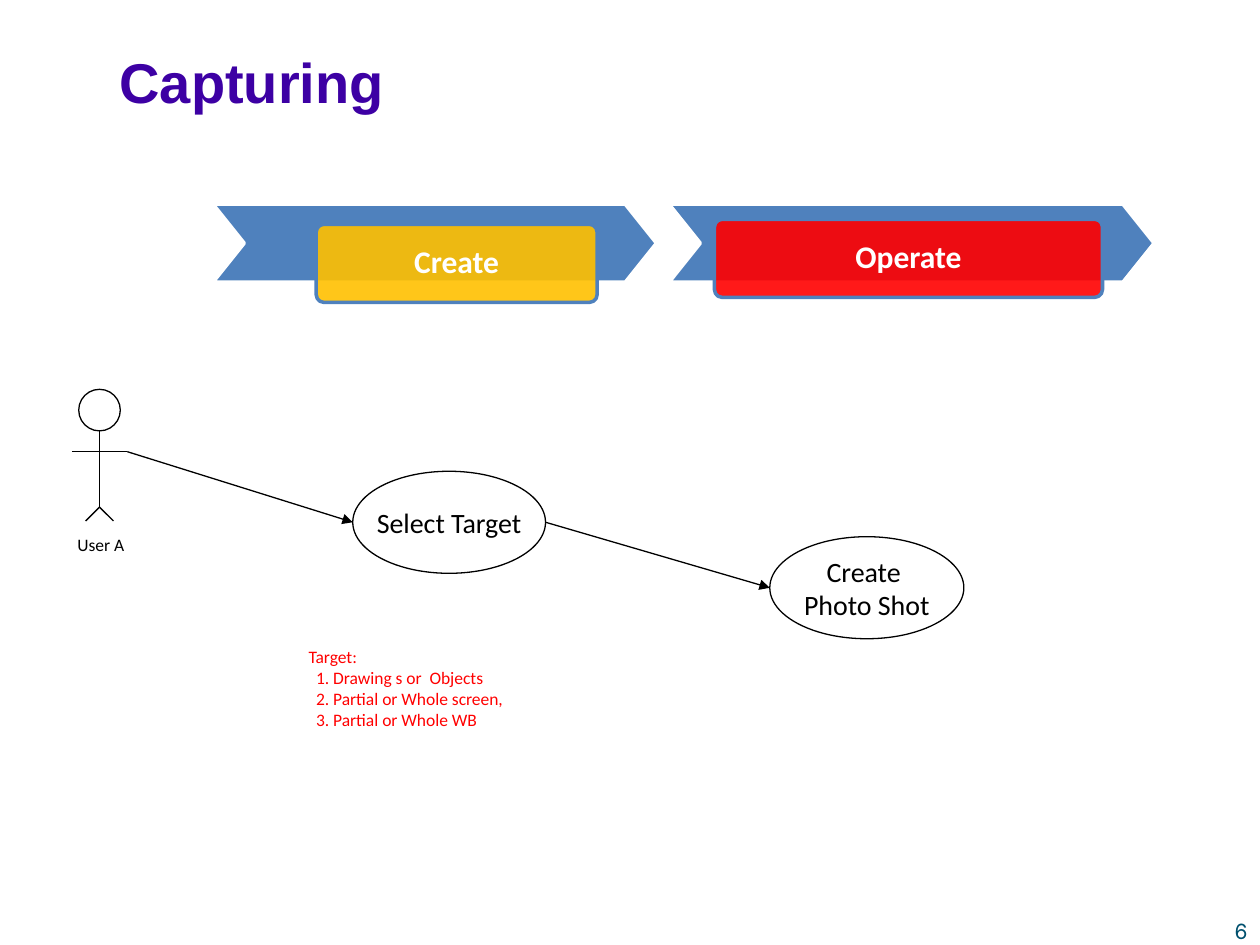
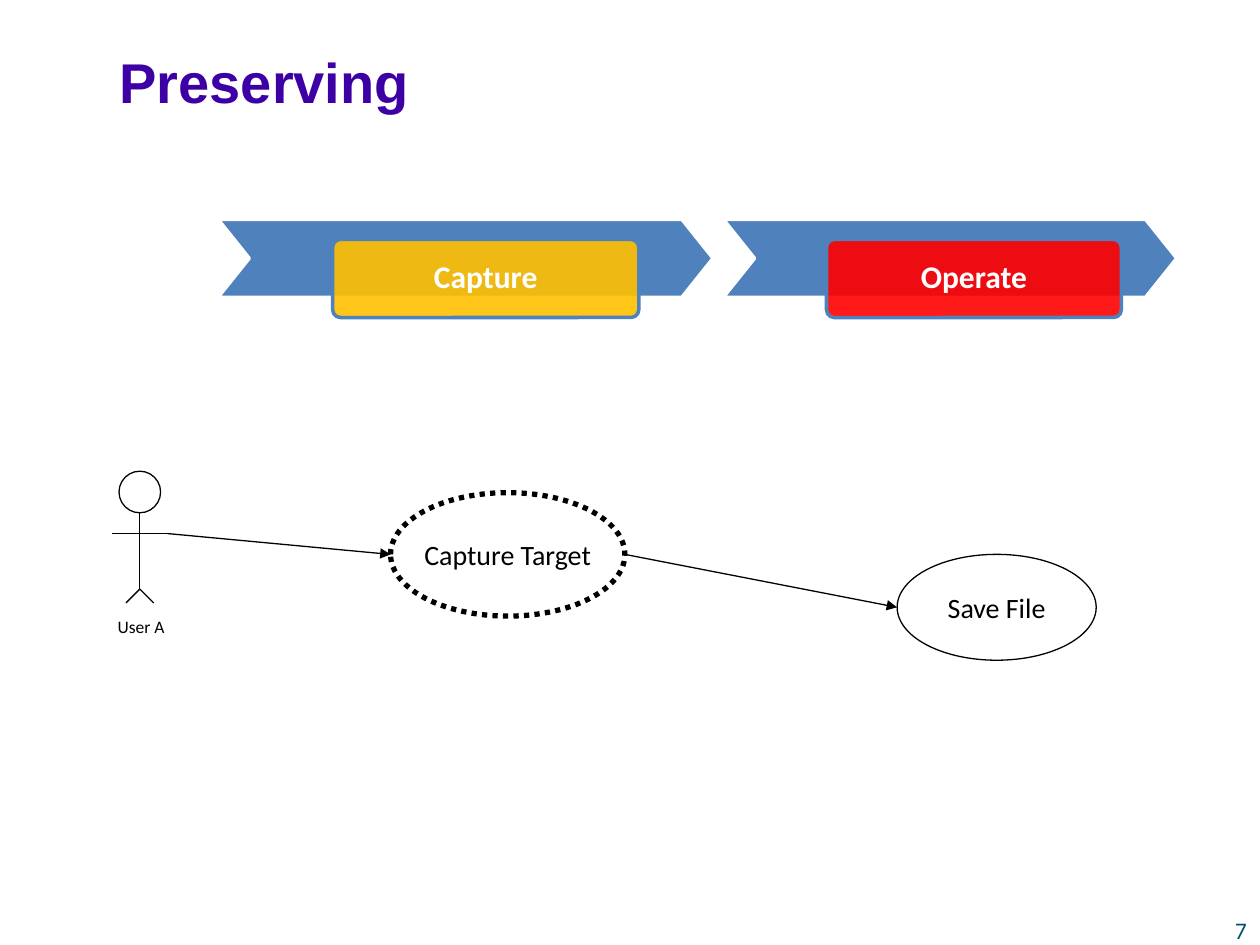
"""Build two use-case slides, each with a phase band, an actor and linked steps."""
from dataclasses import dataclass
from typing import NamedTuple, Optional

from lxml.etree import SubElement
from pptx import Presentation
from pptx.dml.color import RGBColor
from pptx.enum.dml import MSO_LINE
from pptx.enum.shapes import MSO_CONNECTOR, MSO_SHAPE
from pptx.enum.text import MSO_ANCHOR, PP_ALIGN
from pptx.oxml.ns import qn
from pptx.util import Inches, Length, Pt

COLOURS = {
    "title": "3D00A4",
    "number": "00506E",
    "ink": "000000",
    "white": "FFFFFF",
    "band": "4F81BD",
    "first": "FFC000",
    "second": "FF0000",
    "note": "FF0000",
}
COLUMNS, ROWS = 100, 75
SLIDE_WIDTH, SLIDE_HEIGHT = Inches(10), Inches(7.5)
PHASE_ROWS = 6.2
HEAD = 3.3
THIN = 0.75


class Point(NamedTuple):
    column: float
    row: float


class Box(NamedTuple):
    column: float
    row: float
    columns: float
    rows: float

    @property
    def west(self) -> Point:
        return Point(self.column, self.row + self.rows / 2)

    @property
    def east(self) -> Point:
        return Point(self.column + self.columns, self.row + self.rows / 2)


class Style(NamedTuple):
    size: float
    font: str
    colour: str
    bold: bool = False
    align: PP_ALIGN = PP_ALIGN.CENTER


TITLE = Style(32, "Arial", "title", True, PP_ALIGN.LEFT)
NUMBER = Style(12, "Inter", "number")
ACTOR = Style(10, "Calibri", "ink")
STEP = Style(16, "Calibri", "ink")
PHASE = Style(18, "Calibri", "white", True)
NOTE = Style(10, "Calibri", "note", align=PP_ALIGN.LEFT)


@dataclass
class Phase:
    name: str
    arrow_column: float
    arrow_columns: float
    label: Box
    colour: str


@dataclass
class Step:
    lines: list[str]
    box: Box
    dotted: bool = False


@dataclass
class Note:
    heading: str
    items: list[str]
    box: Box


@dataclass
class Scene:
    number: int
    title: str
    phase_row: float
    phases: list[Phase]
    actor: Point
    steps: list[Step]
    note: Optional[Note] = None


SCENES = [
    Scene(
        6, "Capturing", 16.2,
        [
            Phase("Create", 16.9, 35.2, Box(25.1, 17.8, 22.3, PHASE_ROWS), "first"),
            Phase("Operate", 53.1, 38.5, Box(56.7, 17.4, 30.8, PHASE_ROWS), "second"),
        ],
        Point(7.9, 30.9),
        [
            Step(["Select Target"], Box(28, 37.4, 15.3, 8.1)),
            Step(["Create ", "Photo Shot"], Box(61.1, 42.6, 15.4, 8.1)),
        ],
        Note(
            "Target:",
            ["Drawing s or  Objects", "Partial or Whole screen,", "Partial or Whole WB"],
            Box(23.5, 50.8, 19.8, 9.4),
        ),
    ),
    Scene(
        7, "Preserving", 17.4,
        [
            Phase("Capture", 17.3, 39.3, Box(26.4, 19, 24.3, PHASE_ROWS), "first"),
            Phase("Operate", 57.4, 36, Box(65.6, 19, 23.4, PHASE_ROWS), "second"),
        ],
        Point(11.1, 37.4),
        [
            Step(["Capture Target"], Box(31, 39.1, 18.6, 9.8), dotted=True),
            Step(["Save File"], Box(71.2, 44, 15.8, 8.4)),
        ],
    ),
]


def across(columns: float) -> Length:
    """Turn grid columns into a length."""
    return Length(round(SLIDE_WIDTH * columns / COLUMNS))


def down(rows: float) -> Length:
    """Turn grid rows into a length."""
    return Length(round(SLIDE_HEIGHT * rows / ROWS))


def place(box: Box) -> tuple[Length, Length, Length, Length]:
    """Give left, top, width and height of a grid box."""
    return across(box.column), down(box.row), across(box.columns), down(box.rows)


def rgb(colour: str) -> RGBColor:
    """Look up a named colour."""
    return RGBColor.from_string(COLOURS[colour])


def write(frame, lines: list[str], style: Style, wrap: bool = True, middle: bool = False) -> None:
    """Fill a text frame with one paragraph per line."""
    frame.word_wrap = wrap
    frame.vertical_anchor = MSO_ANCHOR.MIDDLE if middle else MSO_ANCHOR.TOP
    for position, line in enumerate(lines):
        paragraph = frame.add_paragraph() if position else frame.paragraphs[0]
        paragraph.alignment = style.align
        run = paragraph.add_run()
        run.text = line
        run.font.size = Pt(style.size)
        run.font.name = style.font
        run.font.bold = style.bold
        run.font.color.rgb = rgb(style.colour)


def add_text(slide, box: Box, lines: list[str], style: Style, middle: bool = False):
    """Add a text box and return its frame."""
    frame = slide.shapes.add_textbox(*place(box)).text_frame
    write(frame, lines, style, middle=middle)
    return frame


def add_outline(slide, kind: MSO_SHAPE, box: Box, line: str, weight: float, fill: str = ""):
    """Add a flat preset shape, hollow unless a fill is named."""
    shape = slide.shapes.add_shape(kind, *place(box))
    shape.shadow.inherit = False
    if fill:
        shape.fill.solid()
        shape.fill.fore_color.rgb = rgb(fill)
    else:
        shape.fill.background()
    shape.line.color.rgb = rgb(line)
    shape.line.width = Pt(weight)
    return shape


def add_line(slide, start: Point, end: Point, arrow: bool = False) -> None:
    """Draw a thin line, with an arrowhead at its end if asked."""
    connector = slide.shapes.add_connector(
        MSO_CONNECTOR.STRAIGHT,
        across(start.column), down(start.row), across(end.column), down(end.row),
    )
    connector.line.color.rgb = rgb("ink")
    connector.line.width = Pt(THIN)
    if arrow:
        SubElement(connector.line._get_or_add_ln(), qn("a:tailEnd"), type="triangle")
    SubElement(connector._element.spPr, qn("a:effectLst"))


def add_phase(slide, phase: Phase, row: float) -> None:
    """Draw a chevron and its translucent label."""
    arrow = Box(phase.arrow_column, row, phase.arrow_columns, PHASE_ROWS)
    chevron = add_outline(slide, MSO_SHAPE.CHEVRON, arrow, "white", 2, "band")
    chevron.adjustments[0] = 0.4
    label = add_outline(slide, MSO_SHAPE.ROUNDED_RECTANGLE, phase.label, "band", 2, phase.colour)
    label.adjustments[0] = 0.1
    shade = label._element.spPr.find(qn("a:solidFill"))[0]
    SubElement(shade, qn("a:alpha"), val="90000")
    write(label.text_frame, [phase.name], PHASE, middle=True)
    label.text_frame.paragraphs[0].line_spacing = 0.9


def add_actor(slide, top: Point) -> Point:
    """Draw a stick figure below a point and return its right hand."""
    middle, row = top
    add_outline(slide, MSO_SHAPE.OVAL, Box(middle - HEAD / 2, row, HEAD, HEAD), "ink", THIN)
    neck, hip = Point(middle, row + HEAD), Point(middle, row + 9.35)
    left_hand, right_hand = (Point(middle + reach, row + 4.95) for reach in (-2.2, 2.2))
    add_line(slide, left_hand, right_hand)
    add_line(slide, neck, hip)
    for stride in (-1.1, 1.1):
        add_line(slide, hip, Point(middle + stride, hip.row + 1.1))
    add_text(slide, Box(middle - 4.6, row + 11, 9.4, 2.7), ["User A"], ACTOR)
    return right_hand


def add_step(slide, step: Step) -> None:
    """Draw a use-case ellipse."""
    ellipse = add_outline(slide, MSO_SHAPE.OVAL, step.box, "ink", 3 if step.dotted else THIN)
    if step.dotted:
        ellipse.line.dash_style = MSO_LINE.ROUND_DOT
    write(ellipse.text_frame, step.lines, STEP, wrap=False, middle=True)


def add_note(slide, note: Note) -> None:
    """Write a heading above an indented numbered list."""
    items = [f"{count}. {item}" for count, item in enumerate(note.items, 1)]
    frame = add_text(slide, note.box, [note.heading, *items], NOTE)
    for paragraph in frame.paragraphs[1:]:
        paragraph._p.get_or_add_pPr().set("marL", str(Inches(0.06)))


def add_scene(deck, scene: Scene) -> None:
    """Build one slide."""
    slide = deck.slides.add_slide(deck.slide_layouts[6])
    add_text(slide, Box(95.7, 72.4, 5.6, 2.3), [str(scene.number)], NUMBER)
    add_text(slide, Box(8.5, 2.4, 86.5, 8), [scene.title], TITLE, middle=True)
    for phase in scene.phases:
        add_phase(slide, phase, scene.phase_row)
    start = add_actor(slide, scene.actor)
    for step in scene.steps:
        add_line(slide, start, step.box.west, arrow=True)
        add_step(slide, step)
        start = step.box.east
    if scene.note:
        add_note(slide, scene.note)


def main() -> None:
    """Build and save the deck."""
    deck = Presentation()
    deck.slide_width, deck.slide_height = SLIDE_WIDTH, SLIDE_HEIGHT
    for scene in SCENES:
        add_scene(deck, scene)
    deck.save("out.pptx")


main()
